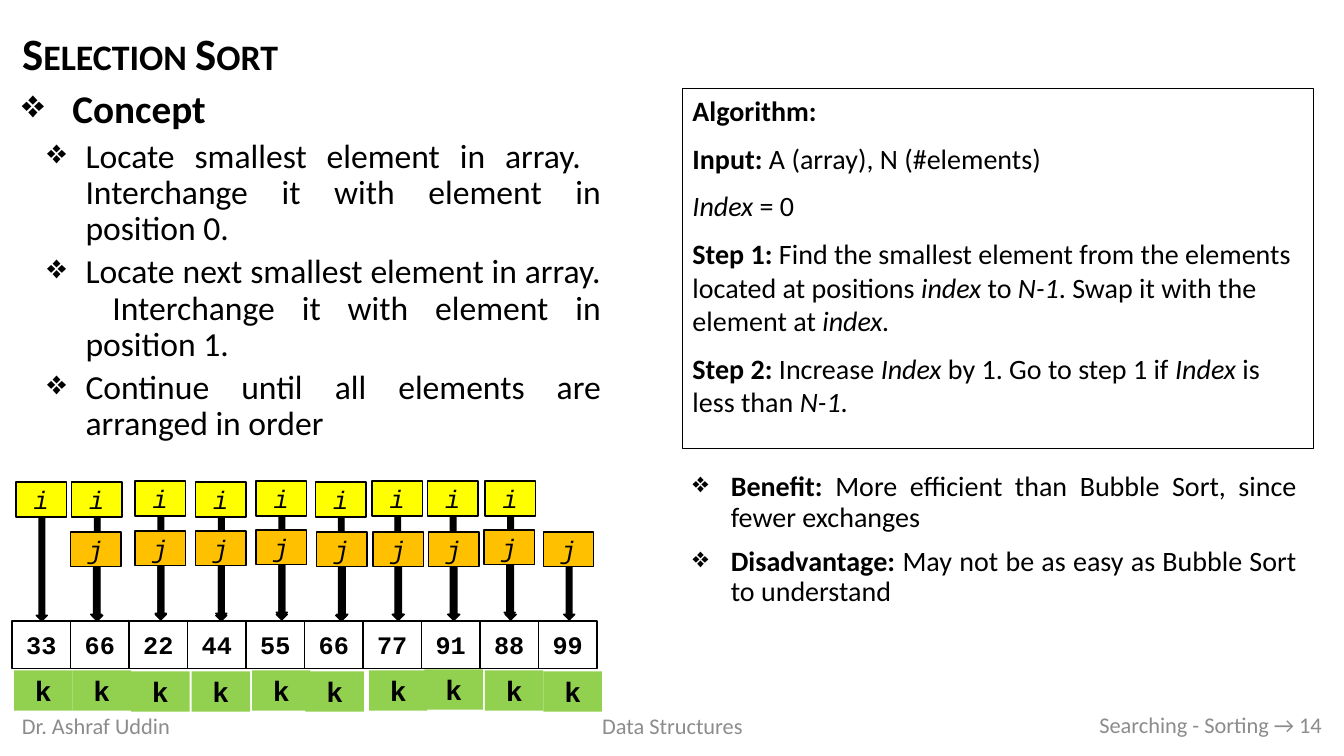
"""Build the Selection Sort slide."""
from lxml.etree import SubElement
from pptx import Presentation
from pptx.dml.color import RGBColor
from pptx.enum.shapes import MSO_SHAPE as Shape
from pptx.enum.text import MSO_ANCHOR as Anchor, PP_ALIGN as Align
from pptx.oxml.ns import qn
from pptx.util import Inches, Pt

TITLE = "Selection Sort"
ALGORITHM = [
    [("Algorithm:", "b")],
    [("Input: ", "b"), ("A (array), N (#elements)", "")],
    [("Index", "i"), (" = 0", "")],
    [("Step 1: ", "b"),
     ("Find the smallest element from the elements located at positions ", ""),
     ("index", "i"), (" to ", ""), ("N-1", "i"),
     (". Swap it with the element at ", ""), ("index.", "i")],
    [("Step 2: ", "b"), ("Increase ", ""), ("Index", "i"),
     (" by 1. Go to step 1 if ", ""), ("Index", "i"),
     (" is less than ", ""), ("N-1", "i"), (".", "")],
]
CONCEPT = [[("Concept", "b")]]
CONCEPT_STEPS = [
    [("Locate smallest element in array.  Interchange it with element in position 0.", "")],
    [("Locate next smallest element in array.  Interchange it with element in position 1.", "")],
    [("Continue until all elements are arranged in order", "")],
]
ASSESSMENT = [
    [("Benefit: ", "b"), ("More efficient than Bubble Sort, since fewer exchanges", "")],
    [("Disadvantage: ", "b"), ("May not be as easy as Bubble Sort to understand", "")],
]
FOOTERS = [
    ("Dr. Ashraf Uddin", (0.12, 7, 3, 0.4), Align.LEFT),
    ("Data Structures", (4.42, 7, 4.5, 0.4), Align.CENTER),
    ("Searching - Sorting → 14", (9.42, 6.99, 3.79, 0.4), Align.RIGHT),
]
VALUES = [33, 66, 22, 44, 55, 66, 77, 91, 88, 99]
I_MARKERS = [(0.16, 4.78), (0.71, 4.78), (1.34, 4.77), (1.94, 4.78), (2.54, 4.77),
             (3.13, 4.78), (3.69, 4.77), (4.24, 4.77), (4.81, 4.77)]
J_MARKERS = [(0.7, 5.28), (1.94, 5.27), (1.34, 5.27), (2.54, 5.26), (3.14, 5.28),
             (3.7, 5.28), (4.25, 5.28), (4.8, 5.26), (5.39, 5.28)]
K_MARKERS = [(0.14, 6.65), (0.72, 6.65), (1.3, 6.66), (1.9, 6.66), (2.5, 6.65),
             (3.03, 6.66), (3.66, 6.65), (4.21, 6.64), (4.81, 6.65), (5.39, 6.66)]
CELL_LEFT, CELL_TOP, CELL_PITCH = 0.12, 6.16, 0.58
BLACK, WHITE, GRAY = "000000", "FFFFFF", "8C8C8C"
YELLOW, ORANGE, GREEN = "FFFF00", "FFC000", "92D050"


def rgb(value):
    """Turn a hex string into a colour."""
    return RGBColor.from_string(value)


def write(frame, paragraphs, size=20, font="Calibri", color=BLACK, align=Align.LEFT,
          anchor=Anchor.TOP, before=0, spacing=None, indent=None, hanging=0, level=0):
    """Add styled paragraphs to a text frame; an indent brings a bullet."""
    frame.word_wrap = True
    frame.vertical_anchor = anchor
    for runs in paragraphs:
        paragraph = frame.paragraphs[0]
        if paragraph.runs:
            paragraph = frame.add_paragraph()
        paragraph.alignment = align
        paragraph.level = level
        paragraph.space_before = Pt(before)
        if spacing:
            paragraph.line_spacing = spacing
        if indent:
            properties = paragraph._p.get_or_add_pPr()
            properties.set("marL", str(Inches(indent)))
            properties.set("indent", str(-Inches(hanging)))
            SubElement(properties, qn("a:buChar")).set("char", "❖")
        for text, style in runs:
            run = paragraph.add_run()
            run.text = text
            run.font.size = Pt(size)
            run.font.name = font
            run.font.bold = "b" in style
            run.font.italic = "i" in style
            run.font.color.rgb = rgb(color)


def add_text(slide, box, paragraphs, **text_format):
    """Add a text box and return its frame."""
    frame = slide.shapes.add_textbox(*map(Inches, box)).text_frame
    write(frame, paragraphs, **text_format)
    return frame


def add_block(shapes, box, kind=Shape.RECTANGLE, fill=None, line=None, width=1):
    """Add a flat preset shape and return it."""
    shape = shapes.add_shape(kind, *map(Inches, box))
    shape.shadow.inherit = False
    if fill:
        shape.fill.solid()
        shape.fill.fore_color.rgb = rgb(fill)
    else:
        shape.fill.background()
    if line:
        shape.line.color.rgb = rgb(line)
        shape.line.width = Pt(width)
    else:
        shape.line.fill.background()
    return shape


def add_label(shapes, box, text, style, fill, line=BLACK, size=18):
    """Add a filled box with a centred monospaced label."""
    block = add_block(shapes, box, fill=fill, line=line)
    write(block.text_frame, [[(text, style)]], size=size, font="Courier New",
          align=Align.CENTER, anchor=Anchor.MIDDLE)


def add_pointers(slide, label, positions, fill, height, arrow_drop, arrow_length):
    """Add grouped index boxes with arrows down to the array."""
    for left, top in positions:
        shapes = slide.shapes.add_group_shape().shapes
        add_block(shapes, (left + 0.2, top + arrow_drop, 0.11, arrow_length),
                  Shape.DOWN_ARROW, BLACK, BLACK)
        add_label(shapes, (left, top, 0.5, height), label, "i", fill)


def main():
    """Assemble and save the slide."""
    presentation = Presentation()
    presentation.slide_width, presentation.slide_height = Inches(13.33), Inches(7.5)
    slide = presentation.slides.add_slide(presentation.slide_layouts[5])

    title = slide.shapes.title
    title.left, title.top, title.width, title.height = map(Inches, (0.12, 0.14, 5.65, 0.71))
    write(title.text_frame, [[(TITLE, "b")]], size=32, anchor=Anchor.BOTTOM, spacing=0.9)
    title.text_frame.paragraphs[0].runs[0].font._element.set("cap", "small")

    algorithm = add_block(slide.shapes, (6.77, 0.88, 6.26, 3.57), line=BLACK, width=0.25)
    write(algorithm.text_frame, ALGORITHM, before=10)

    bullets = {"align": Align.JUSTIFY, "spacing": 0.9}
    concept = add_text(slide, (0.12, 0.84, 5.94, 6.15), CONCEPT, size=28, before=10,
                       indent=0.5, hanging=0.5, **bullets)
    write(concept, CONCEPT_STEPS, size=24, before=5, indent=0.63, hanging=0.38,
          level=1, **bullets)
    for text, box, align in FOOTERS:
        add_text(slide, box, [[(text, "")]], size=16, color=GRAY, align=align,
                 anchor=Anchor.MIDDLE)

    for position, value in enumerate(VALUES):
        left = CELL_LEFT + position * CELL_PITCH
        add_label(slide.shapes, (left, CELL_TOP, 0.58, 0.47), str(value), "b", WHITE)
    add_pointers(slide, "i", I_MARKERS, YELLOW, 0.35, 0.33, 1.05)
    add_pointers(slide, "j", J_MARKERS, ORANGE, 0.34, 0.21, 0.66)
    for left, top in K_MARKERS:
        add_label(slide.shapes, (left, top, 0.58, 0.4), "k", "b", GREEN, line=None, size=20)

    add_text(slide, (6.77, 4.64, 6.19, 1.45), ASSESSMENT, before=10,
             indent=0.38, hanging=0.38, **bullets)
    presentation.save("out.pptx")


if __name__ == "__main__":
    main()
